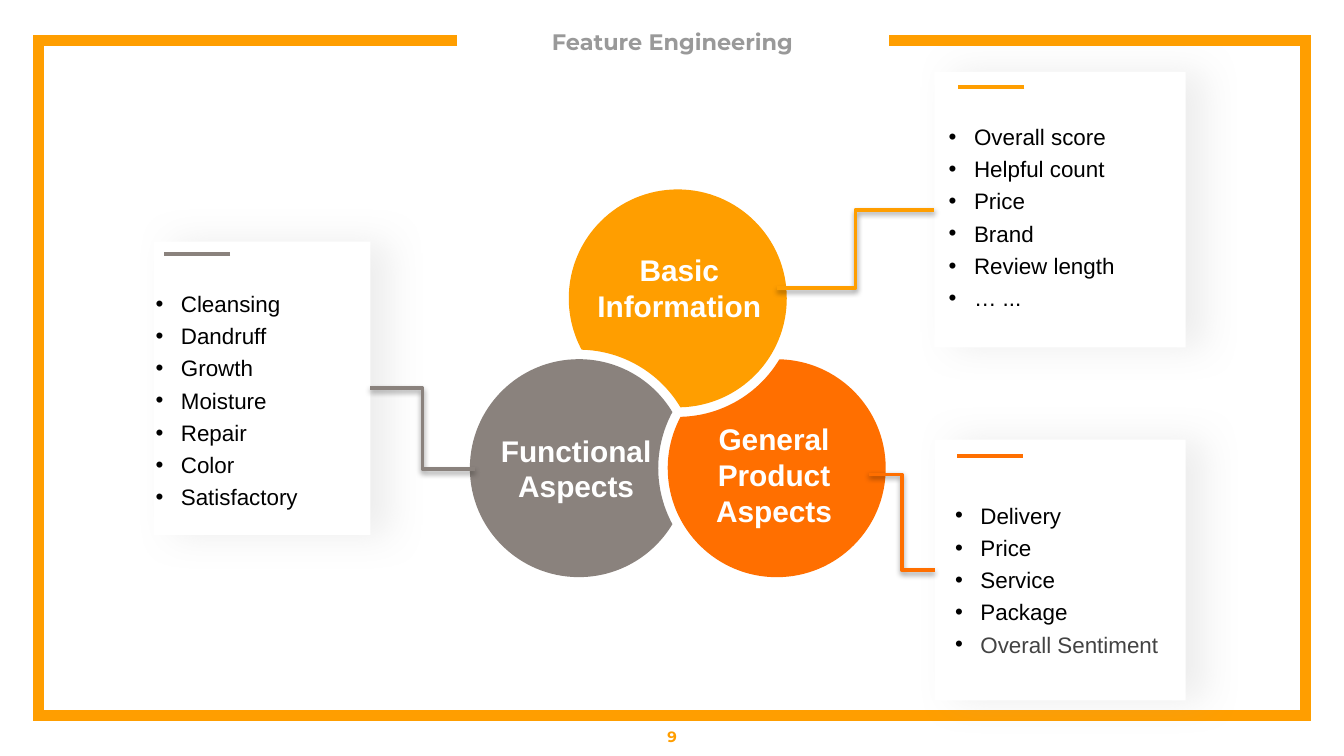
import math
from dataclasses import dataclass

import pptx
import pptx.dml.color
import pptx.enum.shapes
import pptx.enum.text
import pptx.oxml
import pptx.oxml.ns
import pptx.util

Cm, Pt = pptx.util.Cm, pptx.util.Pt
ALIGN = pptx.enum.text.PP_ALIGN
ANCHOR = pptx.enum.text.MSO_ANCHOR
NS = pptx.oxml.ns.nsdecls("a")


@dataclass(frozen=True)
class Theme:
    """Colours, fonts and sizes of the deck."""
    amber: str = "FF9E00"
    orange: str = "FF6F00"
    taupe: str = "8A827D"
    white: str = "FFFFFF"
    black: str = "000000"
    dark: str = "434343"
    grey: str = "999999"
    shade: str = "A6A6A6"
    head: str = "Montserrat"
    body: str = "Arial"
    title: int = 12
    label: int = 16
    item: int = 12
    number: int = 8
    frame: int = 6
    line: int = 2


T = Theme()


def rgb(color):
    """Turn a hex string into a colour."""
    return pptx.dml.color.RGBColor.from_string(color)


def add_run(p, text, font, size, color, bold=False):
    """Add one formatted run to a paragraph."""
    r = p.add_run()
    r.text = text
    r.font.name, r.font.size, r.font.bold = font, Pt(size), bold
    r.font.color.rgb = rgb(color)


def add_text(s, box):
    """Add a wrapping text box and return its frame."""
    tf = s.shapes.add_textbox(*map(Cm, box)).text_frame
    tf.word_wrap = True
    return tf


def set_shadow(sp, color=None, alpha=0, blur=0, dist=0, angle=0):
    """Replace the inherited shadow by the given one, or by none."""
    inner = ""
    if color:
        inner = (f'<a:outerShdw blurRad="{Pt(blur)}" dist="{Pt(dist)}" dir="{angle * 60000}" '
                 f'algn="bl" rotWithShape="0"><a:srgbClr val="{color}">'
                 f'<a:alpha val="{alpha * 1000}"/></a:srgbClr></a:outerShdw>')
    spPr = sp._element.spPr
    for old in spPr.findall(pptx.oxml.ns.qn("a:effectLst")):
        spPr.remove(old)
    spPr.append(pptx.oxml.parse_xml(f"<a:effectLst {NS}>{inner}</a:effectLst>"))


def add_line(s, kind, start, end, color):
    """Add a coloured connector between two points."""
    sp = s.shapes.add_connector(kind, *map(Cm, (*start, *end)))
    sp.line.color.rgb, sp.line.width = rgb(color), Pt(T.line)
    set_shadow(sp)
    return sp


def add_outline(s, points, close):
    """Build a freeform through points given in centimetres."""
    pts = [(Cm(x), Cm(y)) for x, y in points]
    fb = s.shapes.build_freeform(*pts[0])
    fb.add_line_segments(pts[1:], close=close)
    sp = fb.convert_to_shape()
    sp.shadow.inherit = False
    return sp


def add_frame(s, box, gap, title, number):
    """Draw the open frame with the title in its gap and the number below."""
    x, y, w, h = box
    left, right = gap
    sp = add_outline(s, [(left, y), (x, y), (x, y + h), (x + w, y + h), (x + w, y), (right, y)], False)
    sp.fill.background()
    sp.line.color.rgb, sp.line.width = rgb(T.amber), Pt(T.frame)
    sp.line._get_or_add_ln().append(pptx.oxml.parse_xml(f'<a:miter {NS} lim="800000"/>'))

    sp = s.shapes.title
    sp.left, sp.top, sp.width, sp.height = map(Cm, (x + 8.28, y - 0.48, 7.4, 1))
    tf = sp.text_frame
    tf.margin_left = tf.margin_right = tf.margin_top = tf.margin_bottom = 0
    tf.vertical_anchor = ANCHOR.MIDDLE
    tf.paragraphs[0].alignment = ALIGN.CENTER
    add_run(tf.paragraphs[0], title, T.head, T.title, T.grey, True)

    tf = add_text(s, (x - 0.73, y + h + 0.02, w + 1.46, 0.76))
    tf.vertical_anchor = ANCHOR.MIDDLE
    tf.paragraphs[0].alignment = ALIGN.CENTER
    add_run(tf.paragraphs[0], number, T.head, T.number, T.amber, True)


def add_card(s, box, color, items, text_at, rule_at):
    """Draw a shadowed card with a short rule and a bulleted list."""
    x, y, w, h = box
    sp = s.shapes.add_shape(pptx.enum.shapes.MSO_SHAPE.RECTANGLE, *map(Cm, box))
    sp.fill.solid()
    sp.fill.fore_color.rgb = rgb(T.white)
    sp.line.fill.background()
    set_shadow(sp, T.shade, 20, 20, 10)

    rx, ry = x + rule_at[0], y + rule_at[1]
    add_line(s, pptx.enum.shapes.MSO_CONNECTOR.STRAIGHT, (rx + 1.25, ry), (rx, ry), color)

    tf = add_text(s, (x + text_at[0], y + text_at[1], 4.5, h - text_at[1]))
    for i, (text, ink) in enumerate(items):
        p = tf.paragraphs[0] if i == 0 else tf.add_paragraph()
        p.line_spacing = 1.2
        pPr = p._p.get_or_add_pPr()
        pPr.set("marL", str(Cm(0.48)))
        pPr.set("indent", str(-Cm(0.48)))
        for xml in (f'<a:buClr {NS}><a:srgbClr val="{T.black}"/></a:buClr>',
                    f'<a:buFont {NS} typeface="{T.body}"/>', f'<a:buChar {NS} char="•"/>'):
            pPr.append(pptx.oxml.parse_xml(xml))
        add_run(p, text, T.body, T.item, ink)


def arc(center, radius, start, end):
    """List the Bezier segments of an arc, split at its quadrants."""
    quarter, low, high = math.pi / 2, min(start, end), max(start, end)
    stops = [i * quarter for i in range(-8, 17) if low < i * quarter < high]
    angles = sorted([start, *stops, end], reverse=end < start)

    def at(angle, pull=0):
        """Give the point at an angle, moved along its tangent."""
        c, n = math.cos(angle), math.sin(angle)
        return center[0] + radius * (c - pull * n), center[1] + radius * (n + pull * c)

    segments = []
    for a, b in zip(angles, angles[1:]):
        pull = 4 / 3 * math.tan((b - a) / 4)
        segments.append((at(a), at(a, pull), at(b, -pull), at(b)))
    return segments


def add_petal(s, center, biter, radius, gap, color):
    """Draw a disc cut back by the neighbouring disc plus a gap."""
    dx, dy = biter[0] - center[0], biter[1] - center[1]
    d, phi, cut = math.hypot(dx, dy), math.atan2(dy, dx), radius + gap
    a = (radius ** 2 - cut ** 2 + d ** 2) / (2 * d)
    alpha, beta = math.acos(a / radius), math.acos((d - a) / cut)
    curves = arc(center, radius, phi + alpha, phi + 2 * math.pi - alpha)
    curves += arc(biter, cut, phi + math.pi + beta, phi + math.pi - beta)
    sp = add_outline(s, [curves[0][0], *(c[3] for c in curves)], True)
    lines = list(sp._element.iter(pptx.oxml.ns.qn("a:lnTo")))
    for line, curve in zip(lines, curves):
        pts = "".join(f'<a:pt x="{Cm(x) - sp.left}" y="{Cm(y) - sp.top}"/>' for x, y in curve[1:])
        line.getparent().replace(line, pptx.oxml.parse_xml(f"<a:cubicBezTo {NS}>{pts}</a:cubicBezTo>"))
    sp.fill.solid()
    sp.fill.fore_color.rgb = rgb(color)
    sp.line.fill.background()


def add_trefoil(s, box, radius, gap, petals):
    """Draw three interlocking discs in a box, each with its label."""
    x, y, w, h = box
    top, bottom = y + radius, y + h - radius
    centers = [(x + w / 2, top), (x + radius, bottom), (x + w - radius, bottom)]
    for i, (color, text, (ox, oy, lw, lh)) in enumerate(petals):
        cx, cy = centers[i]
        add_petal(s, centers[i], centers[(i + 1) % 3], radius, gap, color)
        tf = add_text(s, (cx + ox - lw / 2, cy + oy - lh / 2, lw, lh))
        tf.paragraphs[0].alignment = ALIGN.CENTER
        add_run(tf.paragraphs[0], text, T.body, T.label, T.white, True)


def add_link(s, start, card, side, color):
    """Link a disc to the middle of a card's left (0) or right (1) edge."""
    x, y, w, h = card
    sp = add_line(s, pptx.enum.shapes.MSO_CONNECTOR.ELBOW, start, (x + side * w, y + h / 2), color)
    set_shadow(sp, T.black, 38, 3.1, 1.6, 90)


def main():
    """Build the feature engineering slide."""
    prs = pptx.Presentation()
    prs.slide_width, prs.slide_height = Cm(25.4), Cm(14.29)
    s = prs.slides.add_slide(prs.slide_layouts[5])
    add_frame(s, (0.73, 0.76, 23.95, 12.76), (8.64, 16.8), "Feature Engineering", "9")

    basic = ["Overall score", "Helpful count", "Price", "Brand", "Review length", "… ..."]
    functional = ["Cleansing", "Dandruff", "Growth", "Moisture", "Repair", "Color", "Satisfactory"]
    general = ["Delivery", "Price", "Service", "Package"]
    cards = [
        ((17.67, 8.31, 4.74, 4.93), T.orange, general, ["Overall Sentiment"], (0.13, 0.95), (0.41, 0.31), (16.42, 8.97), 0),
        ((17.66, 1.36, 4.75, 5.21), T.amber, basic, [], (0.02, 0.74), (0.45, 0.29), (14.68, 5.44), 0),
        ((2.91, 4.57, 4.09, 5.54), T.taupe, functional, [], (-0.22, 0.69), (0.19, 0.23), (8.97, 8.86), 1),
    ]
    for box, color, plain, soft, text_at, rule_at, _, _ in cards:
        items = [(t, T.black) for t in plain] + [(t, T.dark) for t in soft]
        add_card(s, box, color, items, text_at, rule_at)

    add_trefoil(s, (8.88, 3.58, 7.86, 7.33), 2.06, 0.18, [
        (T.amber, "Basic Information", (0.03, -0.19, 3.7, 1.63)),
        (T.taupe, "Functional Aspects", (-0.05, 0.01, 3.84, 1.63)),
        (T.orange, "General Product Aspects", (-0.05, 0.13, 3.58, 2.31)),
    ])
    for box, color, *_, start, side in cards:
        add_link(s, start, box, side, color)
    prs.save("out.pptx")


if __name__ == "__main__":
    main()
